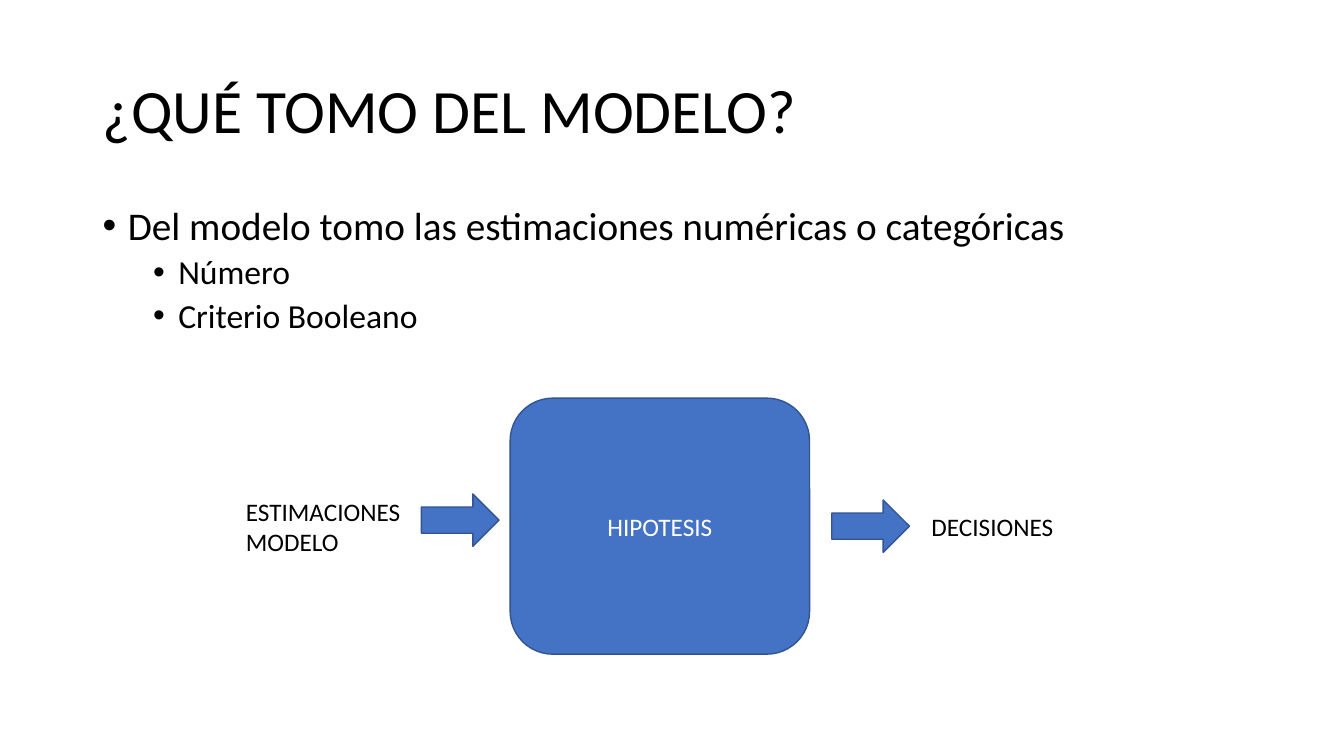
from dataclasses import dataclass

from lxml import etree
from pptx import Presentation
from pptx import util as u
from pptx.dml.color import RGBColor
from pptx.enum import shapes, text
from pptx.oxml.ns import qn


@dataclass(frozen=True)
class Theme:
    font: str = "Calibri"
    bullet_font: str = "Arial"
    ink: str = "000000"
    white: str = "FFFFFF"
    fill: str = "4472C4"
    outline: str = "325491"
    title: int = 44
    body: int = 28
    detail: int = 24
    label: int = 18


THEME = Theme()


@dataclass(frozen=True)
class Area:
    left: float
    top: float
    width: float
    height: float

    def lengths(self) -> list:
        return [u.Inches(side) for side in (self.left, self.top, self.width, self.height)]


@dataclass(frozen=True)
class Line:
    wording: str
    size: int = THEME.label
    color: str = THEME.ink
    level: int | None = None
    before: int = 0
    spacing: float = 1.0
    align: text.PP_ALIGN = text.PP_ALIGN.LEFT


@dataclass(frozen=True)
class TextBlock:
    area: Area
    lines: tuple[Line, ...]
    anchor: text.MSO_ANCHOR = text.MSO_ANCHOR.TOP
    wrap: bool = True


@dataclass(frozen=True)
class Block:
    kind: shapes.MSO_SHAPE
    area: Area
    lines: tuple[Line, ...] = ()


def apply(target, formats: dict) -> None:
    for name, value in formats.items():
        setattr(target, name, value)


def add_bullet(para, level: int) -> None:
    properties = para._p.get_or_add_pPr()
    properties.set("marL", str(u.Inches(0.25 + 0.5 * level)))
    properties.set("indent", str(u.Inches(-0.25)))
    etree.SubElement(properties, qn("a:buFont"), typeface=THEME.bullet_font)
    etree.SubElement(properties, qn("a:buChar"), char="•")


def write_lines(frame, lines: tuple[Line, ...]) -> None:
    for index, line in enumerate(lines):
        para = frame.paragraphs[0] if index == 0 else frame.add_paragraph()
        if line.level is not None:
            add_bullet(para, line.level)
        apply(para, {
            "level": line.level or 0,
            "alignment": line.align,
            "line_spacing": line.spacing,
            "space_before": u.Pt(line.before),
        })
        span = para.add_run()
        span.text = line.wording
        apply(span.font, {"name": THEME.font, "size": u.Pt(line.size)})
        span.font.color.rgb = RGBColor.from_string(line.color)


def draw_text(page, block: TextBlock) -> None:
    frame = page.shapes.add_textbox(*block.area.lengths()).text_frame
    fit = text.MSO_AUTO_SIZE.NONE if block.wrap else text.MSO_AUTO_SIZE.SHAPE_TO_FIT_TEXT
    apply(frame, {"word_wrap": block.wrap, "vertical_anchor": block.anchor, "auto_size": fit})
    write_lines(frame, block.lines)


def draw_block(page, block: Block) -> None:
    box = page.shapes.add_shape(block.kind, *block.area.lengths())
    box.shadow.inherit = False
    box.fill.solid()
    box.fill.fore_color.rgb = RGBColor.from_string(THEME.fill)
    box.line.color.rgb = RGBColor.from_string(THEME.outline)
    box.line.width = u.Pt(1)
    box.text_frame.vertical_anchor = text.MSO_ANCHOR.MIDDLE
    write_lines(box.text_frame, block.lines)


TEXTS = (
    TextBlock(
        Area(0.92, 0.4, 11.5, 1.45),
        (Line("¿QUÉ TOMO DEL MODELO?", THEME.title, spacing=0.9),),
        anchor=text.MSO_ANCHOR.MIDDLE,
    ),
    TextBlock(
        Area(0.92, 2, 11.5, 4.76),
        (
            Line("Del modelo tomo las estimaciones numéricas o categóricas",
                 THEME.body, level=0, spacing=0.9),
            *(Line(wording, THEME.detail, level=1, before=5, spacing=0.9)
              for wording in ("Número", "Criterio Booleano")),
        ),
    ),
    TextBlock(Area(9.14, 5.02, 1.42, 0.4), (Line("DECISIONES"),), wrap=False),
    TextBlock(Area(2.34, 4.87, 1.74, 0.71),
              (Line("ESTIMACIONES"), Line("MODELO")), wrap=False),
)

BLOCKS = (
    Block(shapes.MSO_SHAPE.ROUNDED_RECTANGLE, Area(5.06, 3.95, 2.97, 2.54),
          (Line("HIPOTESIS", color=THEME.white, align=text.PP_ALIGN.CENTER),)),
    *(Block(shapes.MSO_SHAPE.RIGHT_ARROW, Area(left, top, 0.77, 0.52))
      for left, top in ((4.18, 4.9), (8.25, 4.96))),
)


def main() -> None:
    deck = Presentation()
    apply(deck, {"slide_width": u.Inches(13.33), "slide_height": u.Inches(7.5)})
    page = deck.slides.add_slide(deck.slide_layouts[6])
    for block in TEXTS:
        draw_text(page, block)
    for block in BLOCKS:
        draw_block(page, block)
    deck.save("out.pptx")


if __name__ == "__main__":
    main()
